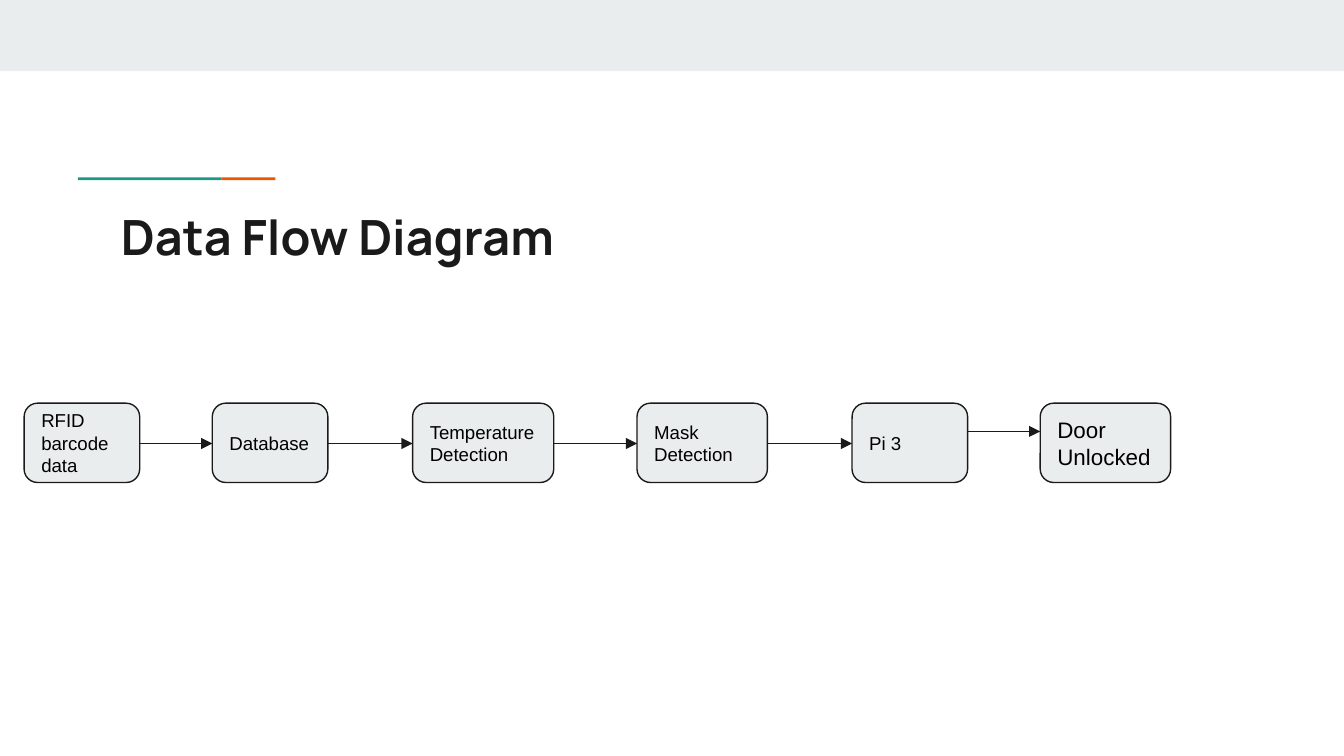
from lxml.etree import SubElement
from pptx import Presentation
from pptx.dml.color import RGBColor
from pptx.enum.shapes import MSO_CONNECTOR, MSO_SHAPE
from pptx.enum.text import MSO_ANCHOR, MSO_AUTO_SIZE, PP_ALIGN
from pptx.oxml.ns import qn
from pptx.util import Inches, Pt

# Widescreen slide, 16:9
WIDTH = 10
HEIGHT = WIDTH * 9 / 16
PALE, DARK, BLACK = "E9EDEE", "1A1A1A", "000000"
TEAL, ORANGE = "1A9988", "EB5600"

# Flow row
ROW_TOP, ROW_HEIGHT = 3, 0.59
ARROW_Y, LAST_ARROW_Y = 3.3, 3.21
# Left, width and text runs (text, size) of each step
STEPS = [
    (0.18, 0.86, [("RFID barcode data", 10)]),
    (1.58, 0.86, [("Database", 10)]),
    (3.07, 1.05, [("Temperature", 10), (" ", 8), ("Detection", 10)]),
    (4.74, 0.97, [("Mask Detection", 10)]),
    (6.34, 0.86, [("Pi 3", 10)]),
    (7.74, 0.97, [("Door Unlocked", 12)]),
]


def color(value):
    return RGBColor.from_string(value)


def add_block(slide, kind, left, top, width, height, fill):
    shape = slide.shapes.add_shape(
        kind, Inches(left), Inches(top), Inches(width), Inches(height))
    shape.shadow.inherit = False
    shape.fill.solid()
    shape.fill.fore_color.rgb = color(fill)
    shape.line.fill.background()
    return shape


def write_text(shape, runs, font, ink, anchor, bold=False):
    frame = shape.text_frame
    frame.word_wrap = True
    frame.auto_size = MSO_AUTO_SIZE.NONE
    frame.vertical_anchor = anchor
    frame.margin_left = frame.margin_right = Inches(0.1)
    frame.margin_top = frame.margin_bottom = Inches(0.1)
    paragraph = frame.paragraphs[0]
    paragraph.alignment = PP_ALIGN.LEFT
    paragraph.line_spacing = 1.0
    paragraph.space_before = Pt(0)
    for text, size in runs:
        run = paragraph.add_run()
        run.text = text
        run.font.name = font
        run.font.size = Pt(size)
        run.font.bold = bold
        run.font.color.rgb = color(ink)


def set_outline(shape):
    shape.line.color.rgb = color(DARK)
    shape.line.width = Pt(0.75)


def add_step(slide, left, width, runs):
    step = add_block(slide, MSO_SHAPE.ROUNDED_RECTANGLE,
                     left, ROW_TOP, width, ROW_HEIGHT, PALE)
    step.adjustments[0] = 0.17
    set_outline(step)
    write_text(step, runs, "Arial", BLACK, MSO_ANCHOR.MIDDLE)


def add_arrow(slide, start, end, y):
    arrow = slide.shapes.add_connector(
        MSO_CONNECTOR.STRAIGHT, Inches(start), Inches(y), Inches(end), Inches(y))
    set_outline(arrow)
    SubElement(arrow.line._get_or_add_ln(), qn("a:tailEnd"), type="triangle")
    SubElement(arrow._element.spPr, qn("a:effectLst"))


def add_title(slide, text):
    title = slide.shapes.title
    title.left, title.top = Inches(0.8), Inches(1.44)
    title.width, title.height = Inches(8.41), Inches(0.59)
    write_text(title, [(text, 26)], "Manrope", DARK, MSO_ANCHOR.TOP, bold=True)


def main():
    presentation = Presentation()
    presentation.slide_width = Inches(WIDTH)
    presentation.slide_height = Inches(HEIGHT)
    slide = presentation.slides.add_slide(presentation.slide_layouts[5])

    # Header band and two-colour accent
    add_block(slide, MSO_SHAPE.RECTANGLE, 0, 0, WIDTH, 0.53, PALE)
    for left, width, fill in [(0.58, 1.07, TEAL), (1.65, 0.4, ORANGE)]:
        add_block(slide, MSO_SHAPE.RECTANGLE, left, 1.32, width, 0.02, fill)

    add_title(slide, "Data Flow Diagram")

    # Steps, then an arrow across each gap
    for step in STEPS:
        add_step(slide, *step)
    for (left, width, _), following in zip(STEPS, STEPS[1:]):
        y = LAST_ARROW_Y if following is STEPS[-1] else ARROW_Y
        add_arrow(slide, left + width, following[0], y)

    presentation.save("out.pptx")


if __name__ == "__main__":
    main()
